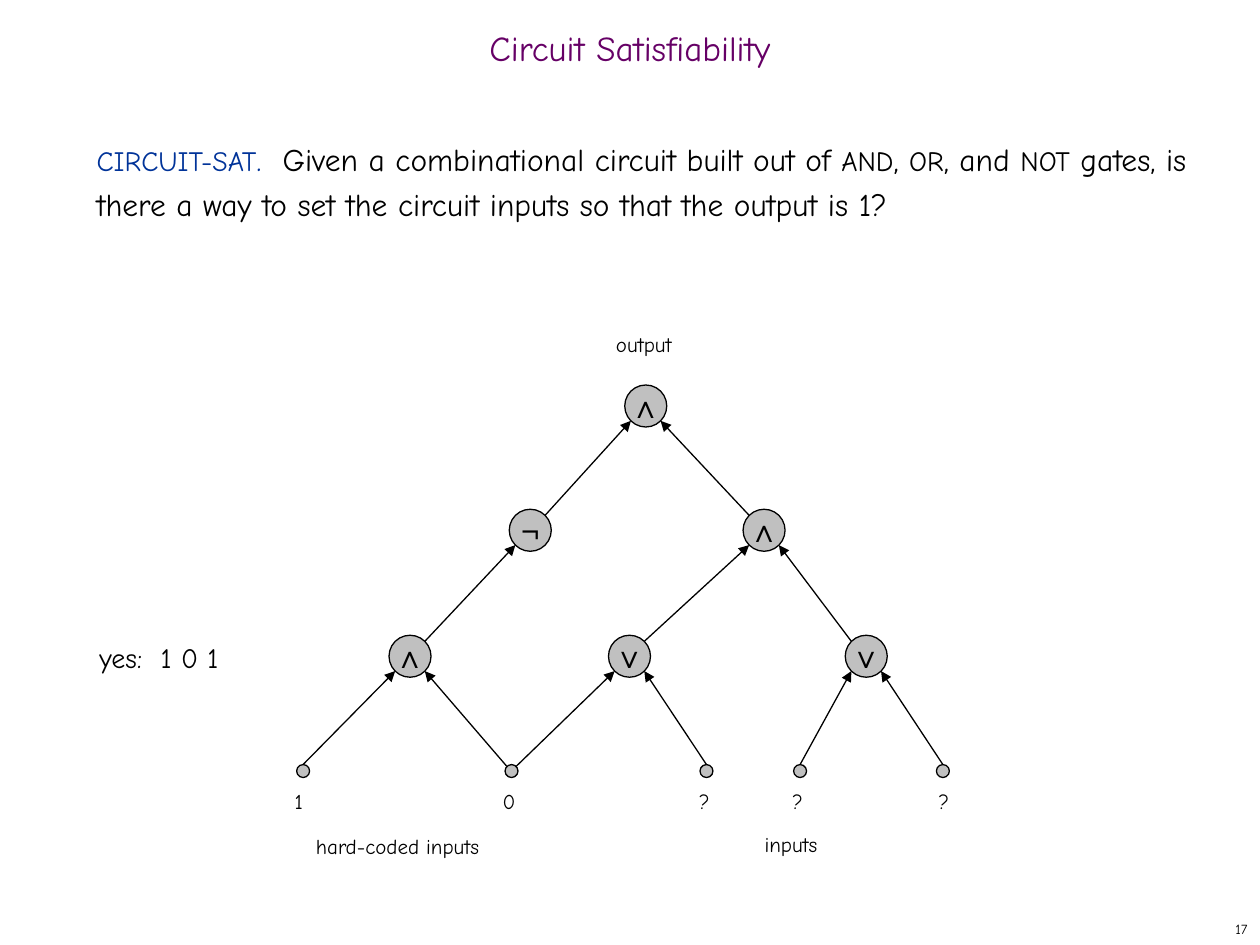
"""Build a slide that explains circuit satisfiability with a gate diagram."""
from math import sqrt
from lxml.etree import SubElement
from pptx import Presentation
from pptx.enum.shapes import MSO_CONNECTOR, MSO_SHAPE
from pptx.enum.text import MSO_ANCHOR, MSO_AUTO_SIZE, PP_ALIGN
from pptx.dml.color import RGBColor
from pptx.oxml.ns import qn
from pptx.util import Pt

BLACK, GREY, PURPLE, BLUE = "000000", "C0C0C0", "660066", "003399"


def tint(fill, color):
    fill.solid()
    fill.fore_color.rgb = RGBColor.from_string(color)


def write(shape, runs, size=12, color=BLACK, font="Comic Neue", align=PP_ALIGN.LEFT,
          anchor=MSO_ANCHOR.TOP, wrap=True, fit=MSO_AUTO_SIZE.NONE, lead=1.0):
    frame = shape.text_frame
    frame.word_wrap, frame.auto_size = wrap, fit
    frame.vertical_anchor = anchor
    para = frame.paragraphs[0]
    para.alignment, para.line_spacing, para.space_before = align, lead, Pt(0)
    for text, *style in [(runs,)] if isinstance(runs, str) else runs:
        run = para.add_run()
        run.text = text
        run.font.name = font
        run.font.size = Pt(style[0] if style else size)
        tint(run.font.fill, style[1] if len(style) > 1 else color)
    return para


deck = Presentation()
deck.slide_width, deck.slide_height = Pt(720), Pt(540)
slide = deck.slides.add_slide(deck.slide_layouts[1])
shapes = slide.shapes

title, body = slide.placeholders
title.left, title.top, title.width, title.height = Pt(0), Pt(12), Pt(720), Pt(36)
write(title, "Circuit Satisfiability", size=20, color=PURPLE,
      align=PP_ALIGN.CENTER, anchor=MSO_ANCHOR.MIDDLE, lead=0.7)

body.left, body.top, body.width, body.height = Pt(48), Pt(72), Pt(642), Pt(426)
para = write(body, [
    ("CIRCUIT-SAT", 16, BLUE), (".  ", 18, BLUE),
    ("Given a combinational circuit built out of ",), ("AND", 16), (", ",),
    ("OR", 16), (", and ",), ("NOT", 16),
    (" gates, is there a way to set the circuit inputs so that the output is 1?",),
], size=18, lead=Pt(26))
props = para._p.get_or_add_pPr()
props.set("marL", "0")
props.set("indent", "0")
SubElement(props, qn("a:buNone"))

GATE, PIN = 12, 3.7
rows = [232, 303, 375]
nodes = {
    "top": (369, rows[0], GATE, "∧"),
    "not": (303, rows[1], GATE, "¬"),
    "and": (436.6, rows[1], GATE, "∧"),
    "left": (234.3, rows[2], GATE, "∧"),
    "mid": (359.7, rows[2], GATE, "∨"),
    "right": (495, rows[2], GATE, "∨"),
}
pins = [173.2, 292.3, 403.7, 457.2, 538.8]
nodes.update({f"pin{i}": (x, 440.6, PIN, "") for i, x in enumerate(pins)})

for x, y, r, sign in nodes.values():
    node = shapes.add_shape(MSO_SHAPE.OVAL, Pt(x - r), Pt(y - r), Pt(2 * r), Pt(2 * r))
    node.shadow.inherit = False
    tint(node.fill, GREY)
    tint(node.line.fill, BLACK)
    node.line.width = Pt(0.75)
    if sign:
        write(node, sign, size=18, font="Arial", align=PP_ALIGN.CENTER,
              anchor=MSO_ANCHOR.MIDDLE, wrap=False)

wires = [
    ("top", "not", -1), ("top", "and", 1), ("not", "left", -1),
    ("and", "mid", -1), ("and", "right", 1),
    ("left", "pin0", -1), ("left", "pin1", 1), ("mid", "pin1", -1),
    ("mid", "pin2", 1), ("right", "pin3", -1), ("right", "pin4", 1),
]
for gate, feed, side in wires:
    gx, gy, gr, _ = nodes[gate]
    fx, fy, fr, _ = nodes[feed]
    slant = fr == GATE or feed == "pin1"
    bend, drop = gr / sqrt(2), fr / sqrt(2) if slant else fr
    wire = shapes.add_connector(
        MSO_CONNECTOR.STRAIGHT, Pt(gx + side * bend), Pt(gy + bend),
        Pt(fx - side * drop * slant), Pt(fy - drop))
    tint(wire.line.fill, BLACK)
    wire.line.width = Pt(0.75)
    SubElement(wire.line._get_or_add_ln(), qn("a:headEnd"), type="triangle")
    SubElement(wire._element.spPr, qn("a:effectLst"))

labels = [
    ("1", 161.3, 447, 19.4, 12), ("0", 280.1, 447, 21.6, 12),
    ("?", 392.4, 447, 21, 12), ("?", 445.7, 447, 21, 12), ("?", 529.2, 447, 21, 12),
    ("output", 344.9, 186, 46, 12), ("inputs", 429.8, 471.6, 44.6, 12),
    ("hard-coded inputs", 173.5, 472.5, 108, 12), ("yes:  1 0 1", 49.7, 362.2, 82.8, 16),
]
for text, x, y, wide, size in labels:
    box = shapes.add_textbox(Pt(x), Pt(y), Pt(wide), Pt(size * 1.2 + 7.2))
    write(box, text, size=size, wrap=False, fit=MSO_AUTO_SIZE.SHAPE_TO_FIT_TEXT)

page = shapes.add_textbox(Pt(570), Pt(522), Pt(150), Pt(18))
write(page, "17", size=8, align=PP_ALIGN.RIGHT, anchor=MSO_ANCHOR.MIDDLE)

deck.save("out.pptx")
